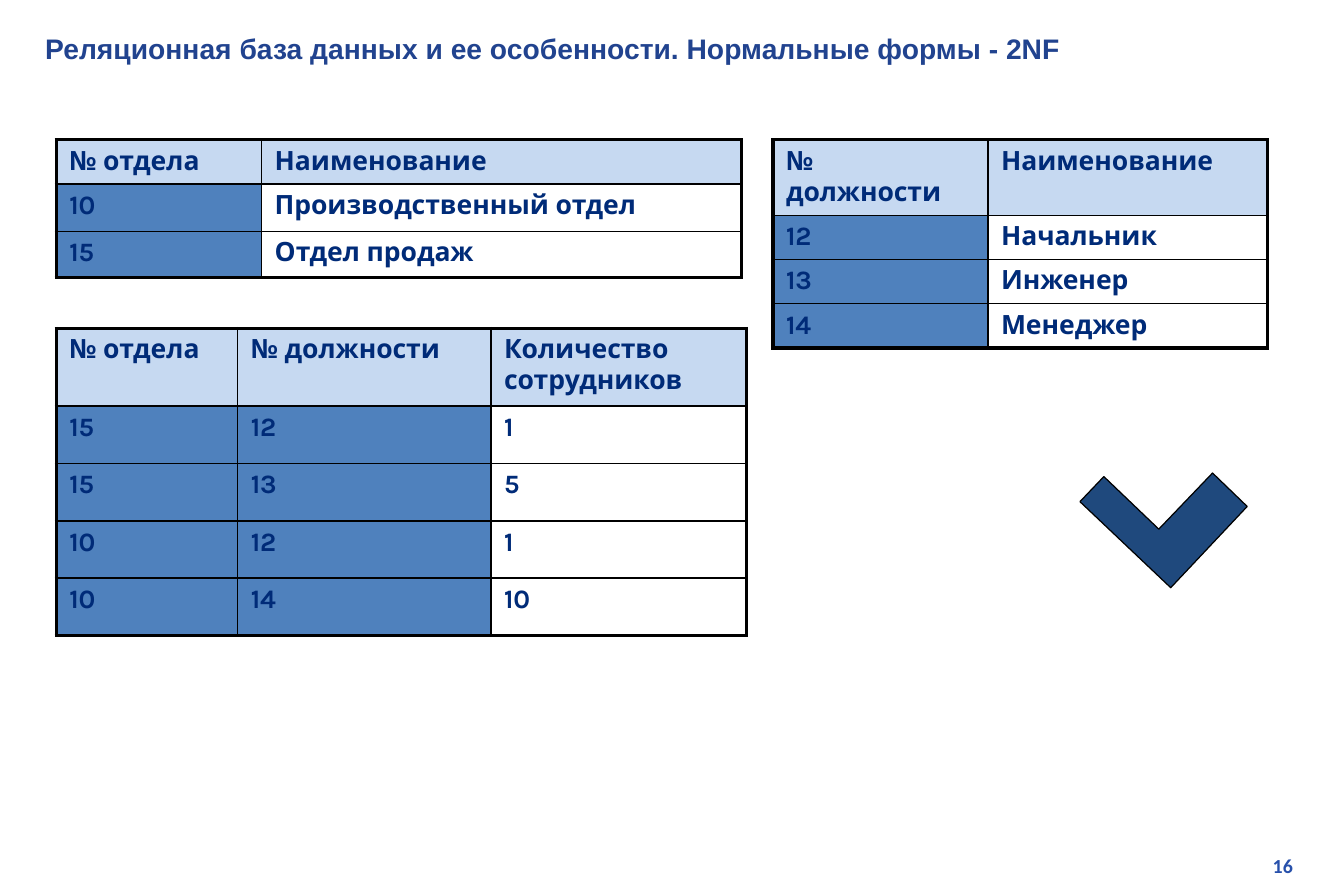
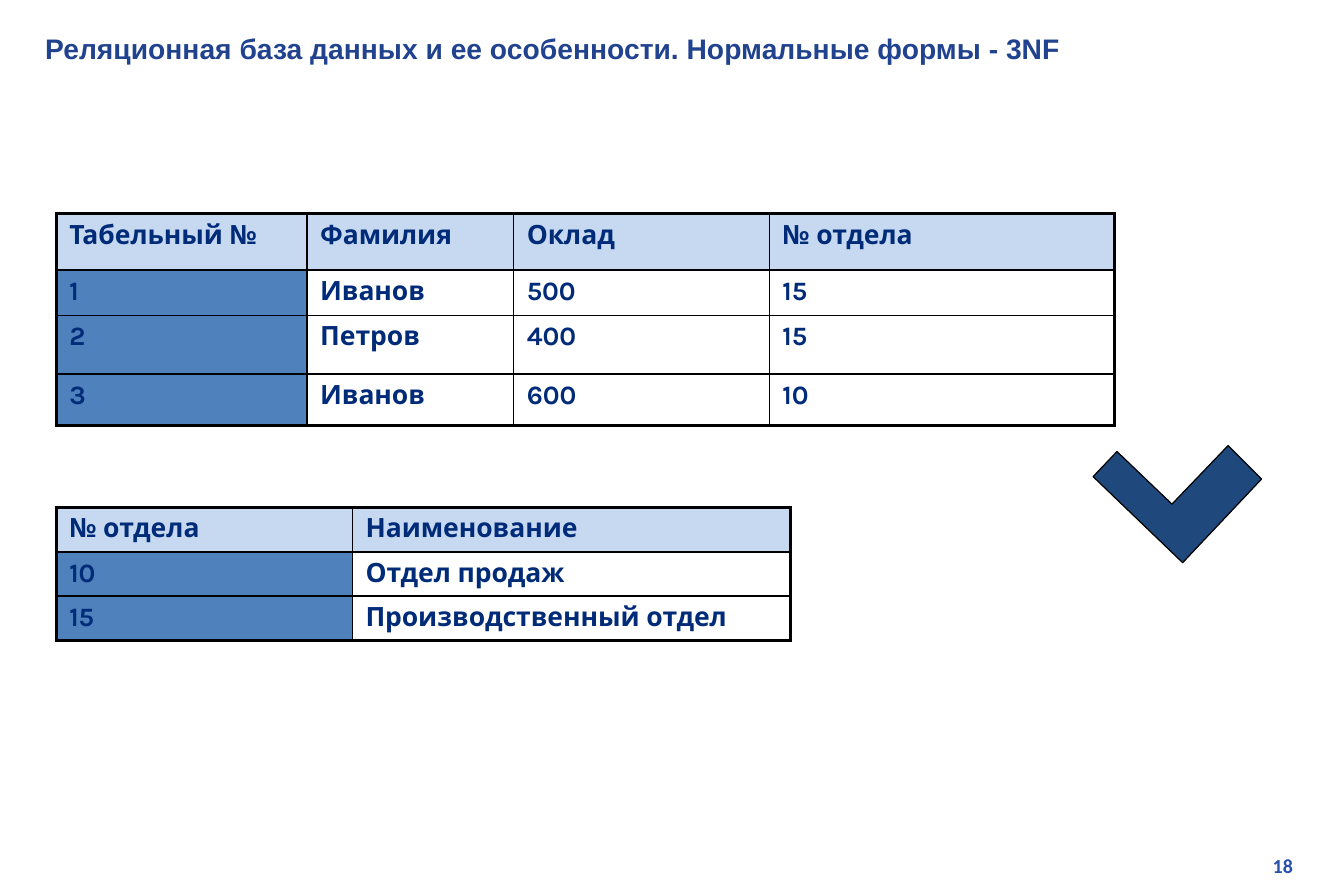
from dataclasses import dataclass

from lxml import etree
from pptx import Presentation
from pptx.dml.color import RGBColor
from pptx.enum.text import MSO_ANCHOR, PP_ALIGN
from pptx.oxml.ns import qn
from pptx.util import Inches, Pt

LEFT, RIGHT = PP_ALIGN.LEFT, PP_ALIGN.RIGHT
MIDDLE, TOP = MSO_ANCHOR.MIDDLE, MSO_ANCHOR.TOP


@dataclass(frozen=True)
class Theme:
    header_fill: str = "C6D9F1"
    key_fill: str = "4F81BD"
    mark_fill: str = "1F497D"
    line: str = "000000"
    outer_width: float = 2.25
    inner_width: float = 1
    mark_width: float = 0.75
    # each text style: font, size, colour
    title: tuple = ("Arial", 17, "21438F")
    number: tuple = ("Calibri", 12, "2750AB")
    cell: tuple = ("Karla", 16, "002B78")


THEME = Theme()
TITLE_START = "Реляционная база данных и ее особенности. Нормальные формы - "
TABLE_LEFT = 0.47

SLIDES = [
    {
        "form": "2NF",
        "number": "16",
        "tables": [
            {
                "at": (TABLE_LEFT, 1.17),
                "columns": [1.72, 4.02],
                "rows": [0.37, 0.4, 0.38],
                "keys": 1,
                "cells": [
                    ["№ отдела", "Наименование"],
                    ["10", "Производственный отдел"],
                    ["15", "Отдел продаж"],
                ],
            },
            {
                "at": (TABLE_LEFT, 2.75),
                "columns": [1.52, 2.12, 2.14],
                "rows": [0.65] + [0.48] * 4,
                "keys": 2,
                "cells": [
                    ["№ отдела", "№ должности", "Количество сотрудников"],
                    ["15", "12", "1"],
                    ["15", "13", "5"],
                    ["10", "12", "1"],
                    ["10", "14", "10"],
                ],
            },
            {
                "at": (6.47, 1.17),
                "columns": [1.8, 2.34],
                "rows": [0.63] + [0.37] * 3,
                "keys": 1,
                "cells": [
                    ["№ должности", "Наименование"],
                    ["12", "Начальник"],
                    ["13", "Инженер"],
                    ["14", "Менеджер"],
                ],
            },
        ],
        "check_mark": [(9.04, 4.2), (9.24, 3.99), (9.7, 4.43),
                       (10.15, 3.96), (10.44, 4.24), (9.8, 4.92)],
    },
    {
        "form": "3NF",
        "number": "18",
        "tables": [
            {
                "at": (TABLE_LEFT, 1.79),
                "columns": [2.1, 1.73, 2.14, 2.89],
                "rows": [0.47, 0.38, 0.49, 0.43],
                "keys": 1,
                "cells": [
                    ["Табельный №", "Фамилия", "Оклад", "№ отдела"],
                    ["1", "Иванов", "500", "15"],
                    ["2", "Петров", "400", "15"],
                    ["3", "Иванов", "600", "10"],
                ],
            },
            {
                "at": (TABLE_LEFT, 4.25),
                "columns": [2.48, 3.67],
                "rows": [0.37] * 3,
                "keys": 1,
                "cells": [
                    ["№ отдела", "Наименование"],
                    ["10", "Отдел продаж"],
                    ["15", "Производственный отдел"],
                ],
            },
        ],
        "check_mark": [(9.15, 3.99), (9.35, 3.78), (9.81, 4.22),
                       (10.28, 3.73), (10.56, 4.01), (9.9, 4.71)],
    },
]


def write_text(text_frame, text, style, alignment=LEFT):
    name, size, color = style
    text_frame.word_wrap = True
    paragraph = text_frame.paragraphs[0]
    paragraph.alignment = alignment
    run = paragraph.add_run()
    run.text = text
    for attribute, value in {"name": name, "size": Pt(size), "bold": True}.items():
        setattr(run.font, attribute, value)
    run.font.color.rgb = RGBColor.from_string(color)


def add_borders(cell, outer_sides):
    """Draw all four sides of a cell, heavier where it meets the table's edge."""
    properties = cell._tc.get_or_add_tcPr()
    for side, is_outer in outer_sides.items():
        width = THEME.outer_width if is_outer else THEME.inner_width
        line = etree.SubElement(properties, qn(f"a:ln{side}"), w=str(Pt(width)))
        fill = etree.SubElement(line, qn("a:solidFill"))
        etree.SubElement(fill, qn("a:srgbClr"), val=THEME.line)


presentation = Presentation()
presentation.slide_width = Inches(11.25)
presentation.slide_height = Inches(7.5)
blank_layout = presentation.slide_layouts[6]

for content in SLIDES:
    slide = presentation.slides.add_slide(blank_layout)

    labels = [
        ((0.28, 0.2, 10.74, 0.4), TITLE_START + content["form"], THEME.title, LEFT, MIDDLE),
        ((8.54, 7.1, 2.38, 0.3), content["number"], THEME.number, RIGHT, TOP),
    ]
    for box, text, style, alignment, anchor in labels:
        text_frame = slide.shapes.add_textbox(*map(Inches, box)).text_frame
        text_frame.vertical_anchor = anchor
        write_text(text_frame, text, style, alignment)

    for data in content["tables"]:
        columns, rows = data["columns"], data["rows"]
        box = (*data["at"], sum(columns), sum(rows))
        table = slide.shapes.add_table(len(rows), len(columns), *map(Inches, box)).table
        table.horz_banding = False
        for column, width in zip(table.columns, columns):
            column.width = Inches(width)
        for row, height in zip(table.rows, rows):
            row.height = Inches(height)

        for row_index, texts in enumerate(data["cells"]):
            for column_index, text in enumerate(texts):
                cell = table.cell(row_index, column_index)
                margins = {"margin_left": 0.11, "margin_right": 0.11,
                           "margin_top": 0.05, "margin_bottom": 0.05}
                for attribute, value in margins.items():
                    setattr(cell, attribute, Inches(value))
                write_text(cell.text_frame, text, THEME.cell)
                add_borders(cell, {
                    "L": column_index == 0,
                    "R": column_index == len(columns) - 1,
                    "T": row_index == 0,
                    "B": row_index == len(rows) - 1,
                })
                if row_index == 0 or column_index < data["keys"]:
                    color = THEME.header_fill if row_index == 0 else THEME.key_fill
                    cell.fill.solid()
                    cell.fill.fore_color.rgb = RGBColor.from_string(color)
                else:
                    cell.fill.background()

    points = [(Inches(x), Inches(y)) for x, y in content["check_mark"]]
    builder = slide.shapes.build_freeform(*points[0])
    builder.add_line_segments(points[1:], close=True)
    check_mark = builder.convert_to_shape()
    check_mark.shadow.inherit = False
    check_mark.fill.solid()
    check_mark.fill.fore_color.rgb = RGBColor.from_string(THEME.mark_fill)
    check_mark.line.color.rgb = RGBColor.from_string(THEME.line)
    check_mark.line.width = Pt(THEME.mark_width)

presentation.save("out.pptx")
